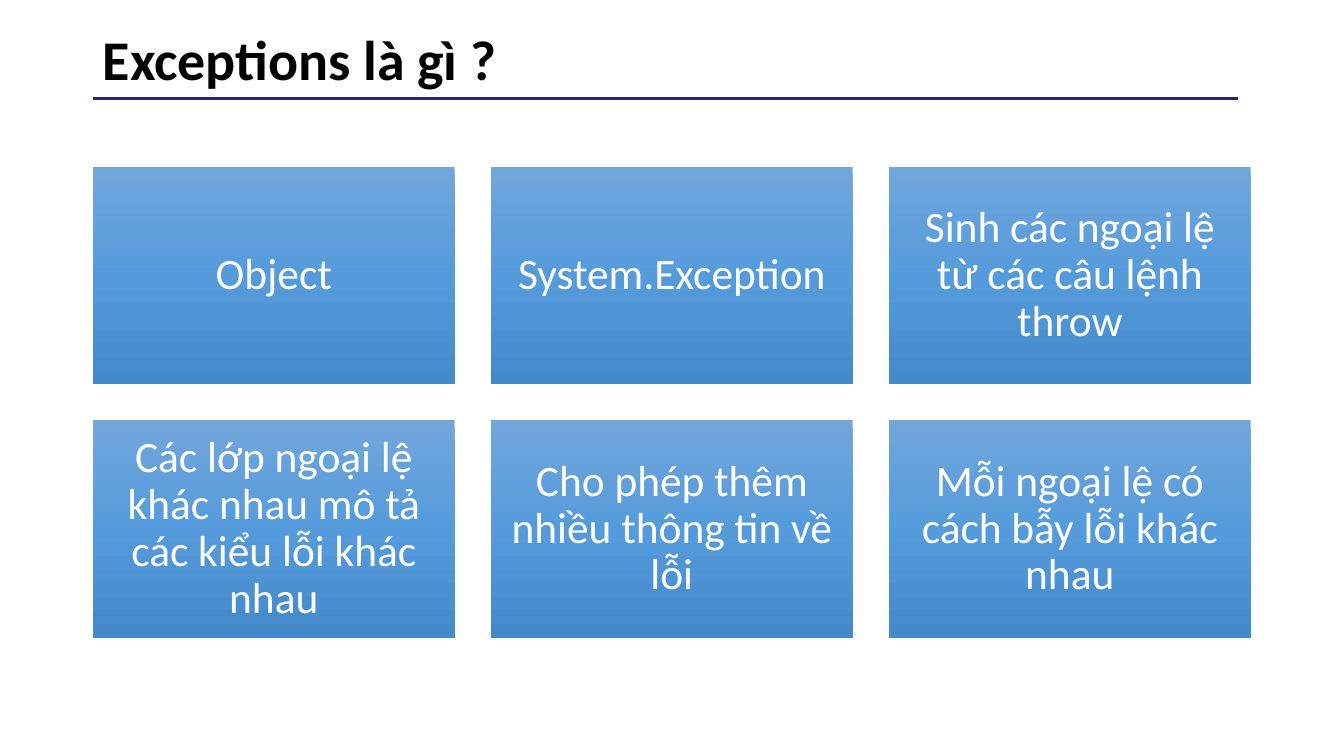
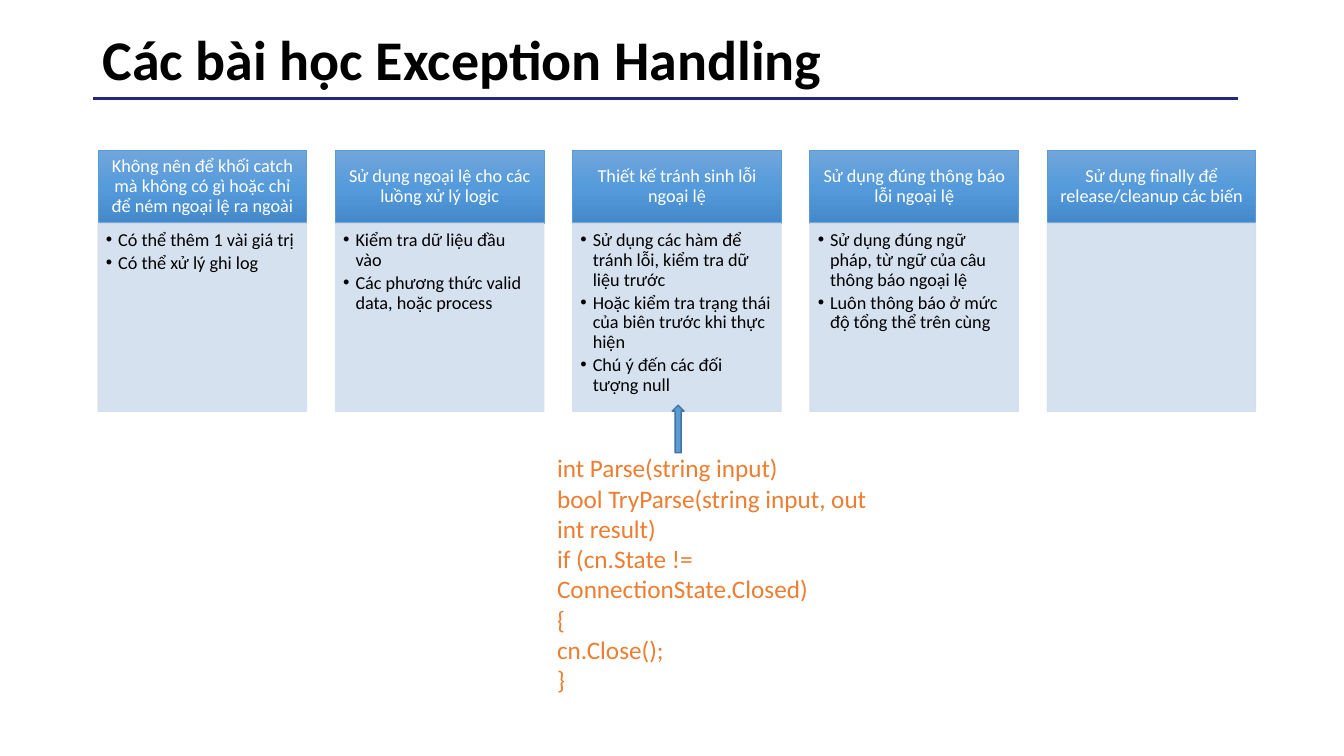
"""Build two slides about exception handling."""
import copy

import pptx
import pptx.dml.color
import pptx.enum.shapes
import pptx.enum.text
import pptx.oxml.ns
import pptx.oxml.xmlchemy
import pptx.util
from lxml import etree
from pptx.dml.color import RGBColor
from pptx.enum.shapes import MSO_CONNECTOR, MSO_SHAPE
from pptx.enum.text import MSO_ANCHOR, PP_ALIGN
from pptx.oxml.ns import qn
from pptx.util import Cm, Pt

FONT = "Calibri"
BLACK = RGBColor(0x00, 0x00, 0x00)
WHITE = RGBColor(0xFF, 0xFF, 0xFF)
NAVY = RGBColor(0x27, 0x27, 0x80)
BLUE = RGBColor(0x5B, 0x9B, 0xD5)
DARK_BLUE = RGBColor(0x43, 0x73, 0x9E)
PALE_BLUE = RGBColor(0xD2, 0xDE, 0xEF)
ORANGE = RGBColor(0xED, 0x7D, 0x31)
GRADIENT = (
    (0, RGBColor(0x71, 0xA6, 0xDB)),
    (0.5, RGBColor(0x55, 0x9B, 0xDB)),
    (1, RGBColor(0x44, 0x8A, 0xCA)),
)

CARDS = [
    "Object",
    "System.Exception",
    "Sinh các ngoại lệ từ các câu lệnh throw",
    "Các lớp ngoại lệ khác nhau mô tả các kiểu lỗi khác nhau",
    "Cho phép thêm nhiều thông tin về lỗi",
    "Mỗi ngoại lệ có cách bẫy lỗi khác nhau",
]
LESSONS = [
    ("Không nên để khối catch mà không có gì hoặc chỉ để ném ngoại lệ ra ngoài",
     ["Có thể thêm 1 vài giá trị", "Có thể xử lý ghi log"]),
    ("Sử dụng ngoại lệ cho các luồng xử lý logic",
     ["Kiểm tra dữ liệu đầu vào", "Các phương thức valid data, hoặc process"]),
    ("Thiết kế tránh sinh lỗi ngoại lệ",
     ["Sử dụng các hàm để tránh lỗi, kiểm tra dữ liệu trước",
      "Hoặc kiểm tra trạng thái của biên trước khi thực hiện",
      "Chú ý đến các đối tượng null"]),
    ("Sử dụng đúng thông báo lỗi ngoại lệ",
     ["Sử dụng đúng ngữ pháp, từ ngữ của câu thông báo ngoại lệ",
      "Luôn thông báo ở mức độ tổng thể trên cùng"]),
    ("Sử dụng finally để release/cleanup các biến", []),
]
CODE = [
    "int Parse(string input)",
    "bool TryParse(string input, out int result)",
    "if (cn.State != ConnectionState.Closed)",
    "{",
    "cn.Close();",
    "}",
]


def add_bullet(para, indent):
    """Give a paragraph a hanging round bullet."""
    properties = para._p.get_or_add_pPr()
    properties.set("marL", str(Cm(indent)))
    properties.set("indent", str(-Cm(indent)))
    etree.SubElement(properties, qn("a:buFont"), typeface="Arial")
    etree.SubElement(properties, qn("a:buChar"), char="•")


def write_text(shape, lines, size, color, bold=False, align=PP_ALIGN.LEFT,
               anchor=MSO_ANCHOR.TOP, spacing=0.9, after=0,
               insets=(0.25, 0.13, 0.25, 0.13), bullet_indent=None):
    """Write lines as paragraphs of one format."""
    frame = shape.text_frame
    frame.word_wrap = True
    frame.vertical_anchor = anchor
    (frame.margin_left, frame.margin_top,
     frame.margin_right, frame.margin_bottom) = map(Cm, insets)
    for index, line in enumerate(lines):
        para = frame.add_paragraph() if index else frame.paragraphs[0]
        para.alignment = align
        para.line_spacing = spacing
        para.space_after = Pt(after)
        if bullet_indent:
            add_bullet(para, bullet_indent)
        span = para.add_run()
        span.text = line
        span.font.name = FONT
        span.font.size = Pt(size)
        span.font.bold = bold
        span.font.color.rgb = color


def fill_gradient(shape):
    """Fill a shape from top to bottom with the shared gradient."""
    shape.fill.gradient()
    shape.fill.gradient_angle = 270
    stop_list = shape._element.spPr.find(".//" + qn("a:gsLst"))
    stop_list.append(copy.deepcopy(stop_list[-1]))
    for stop, (position, color) in zip(shape.fill.gradient_stops, GRADIENT):
        stop.position = position
        stop.color.rgb = color


def set_opacity(shape, percent):
    """Set the opacity of a shape's fill and line."""
    for color in shape._element.spPr.iter(qn("a:srgbClr")):
        etree.SubElement(color, qn("a:alpha"), val=str(percent * 1000))


def add_box(page, left, top, width, height, fill=None, line=None,
            line_width=0.5, kind=MSO_SHAPE.RECTANGLE):
    """Add a shape with a plain fill, or the gradient if none is given."""
    box = page.shapes.add_shape(kind, Cm(left), Cm(top), Cm(width), Cm(height))
    box.shadow.inherit = False
    if fill is None:
        fill_gradient(box)
    else:
        box.fill.solid()
        box.fill.fore_color.rgb = fill
    if line is None:
        box.line.fill.background()
    else:
        box.line.color.rgb = line
        box.line.width = Pt(line_width)
    return box


def add_text_box(page, left, top, width, height, lines, **text_format):
    """Add a text box."""
    box = page.shapes.add_textbox(Cm(left), Cm(top), Cm(width), Cm(height))
    write_text(box, lines, **text_format)


def add_page(deck, title):
    """Add a slide with its title and the rule below it."""
    page = deck.slides.add_slide(deck.slide_layouts[6])
    rule = page.shapes.add_connector(
        MSO_CONNECTOR.STRAIGHT, Cm(31.19), Cm(2.49), Cm(2.34), Cm(2.49))
    rule.line.color.rgb = NAVY
    rule.line.width = Pt(2)
    etree.SubElement(rule._element.spPr, qn("a:effectLst"))
    add_text_box(page, 2.34, 0.43, 29.21, 2.26, [title], size=40, color=BLACK,
                 bold=True, anchor=MSO_ANCHOR.MIDDLE)
    return page


def add_card_grid(page, texts, columns=3):
    """Lay out cards in rows."""
    width, height, gap = 9.12, 5.48, 0.91
    for index, text in enumerate(texts):
        row, column = divmod(index, columns)
        card = add_box(page, 2.34 + column * (width + gap),
                       4.2 + row * (height + gap), width, height)
        write_text(card, [text], size=31, color=WHITE, align=PP_ALIGN.CENTER,
                   anchor=MSO_ANCHOR.MIDDLE, insets=(0.33,) * 4)


def add_lesson_columns(page, lessons):
    """Lay out headed columns of bullets."""
    width, gap, top, head_height, body_height = 5.26, 0.72, 3.79, 1.83, 4.75
    for index, (heading, points) in enumerate(lessons):
        left = 2.47 + index * (width + gap)
        head = add_box(page, left, top, width, head_height, line=BLUE)
        write_text(head, [heading], size=13, color=WHITE,
                   align=PP_ALIGN.CENTER, anchor=MSO_ANCHOR.MIDDLE,
                   insets=(0.25, 0.15, 0.25, 0.15))
        body = add_box(page, left, top + head_height, width, body_height,
                       fill=PALE_BLUE, line=PALE_BLUE)
        set_opacity(body, 90)
        write_text(body, points, size=13, color=BLACK, after=2.4,
                   insets=(0.2, 0.2, 0.25, 0.28), bullet_indent=0.31)


def main():
    """Build and save the deck."""
    deck = pptx.Presentation()
    deck.slide_width, deck.slide_height = Cm(33.87), Cm(19.05)

    page = add_page(deck, "Exceptions là gì ?")
    add_card_grid(page, CARDS)

    page = add_page(deck, "Các bài học Exception Handling")
    add_lesson_columns(page, LESSONS)
    add_text_box(page, 13.79, 11.28, 8.86, 6.4, CODE, size=18, color=ORANGE,
                 spacing=1.0)
    add_box(page, 16.94, 10.21, 0.3, 1.2, fill=BLUE, line=DARK_BLUE,
            line_width=1, kind=MSO_SHAPE.UP_ARROW)

    deck.save("out.pptx")


if __name__ == "__main__":
    main()
